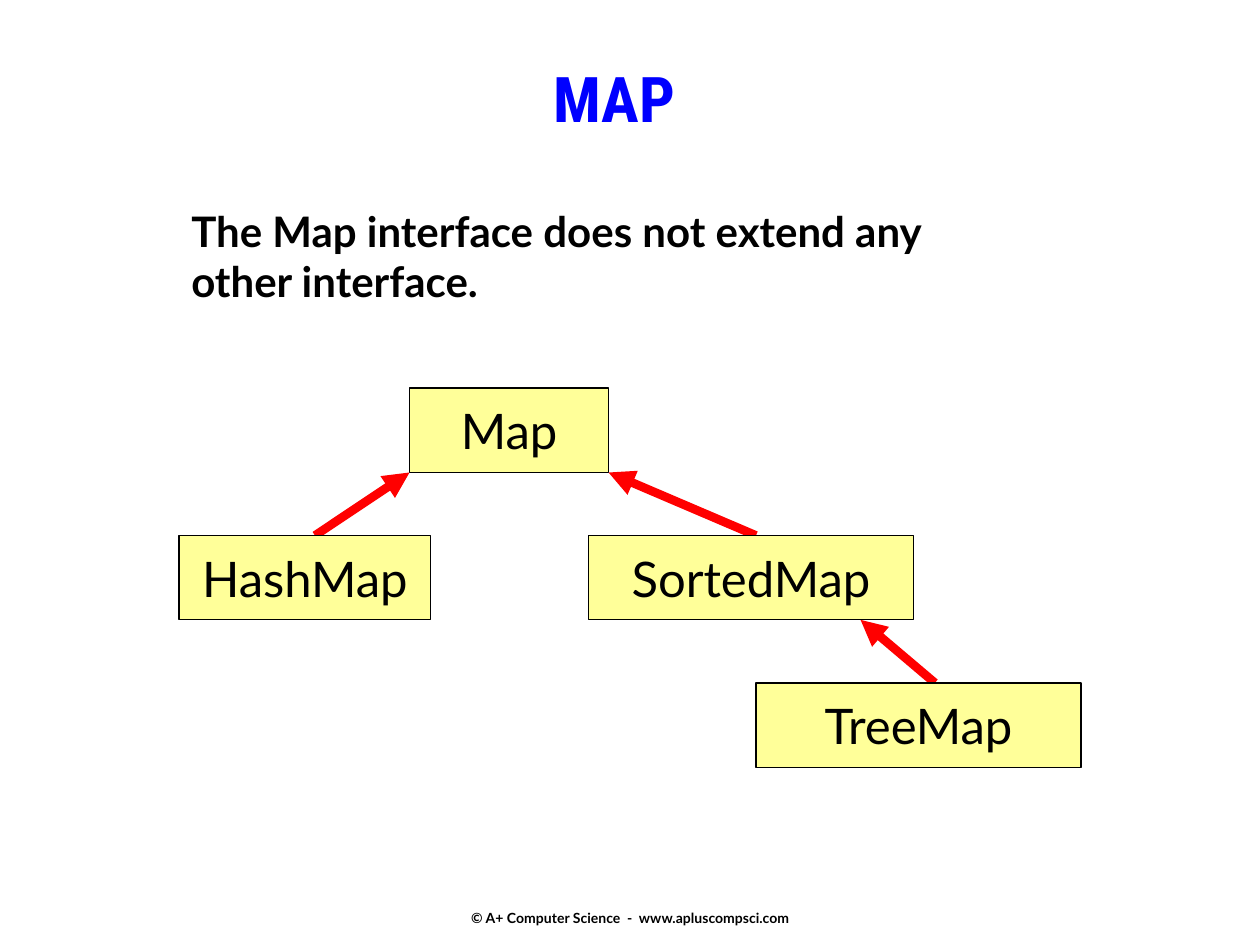
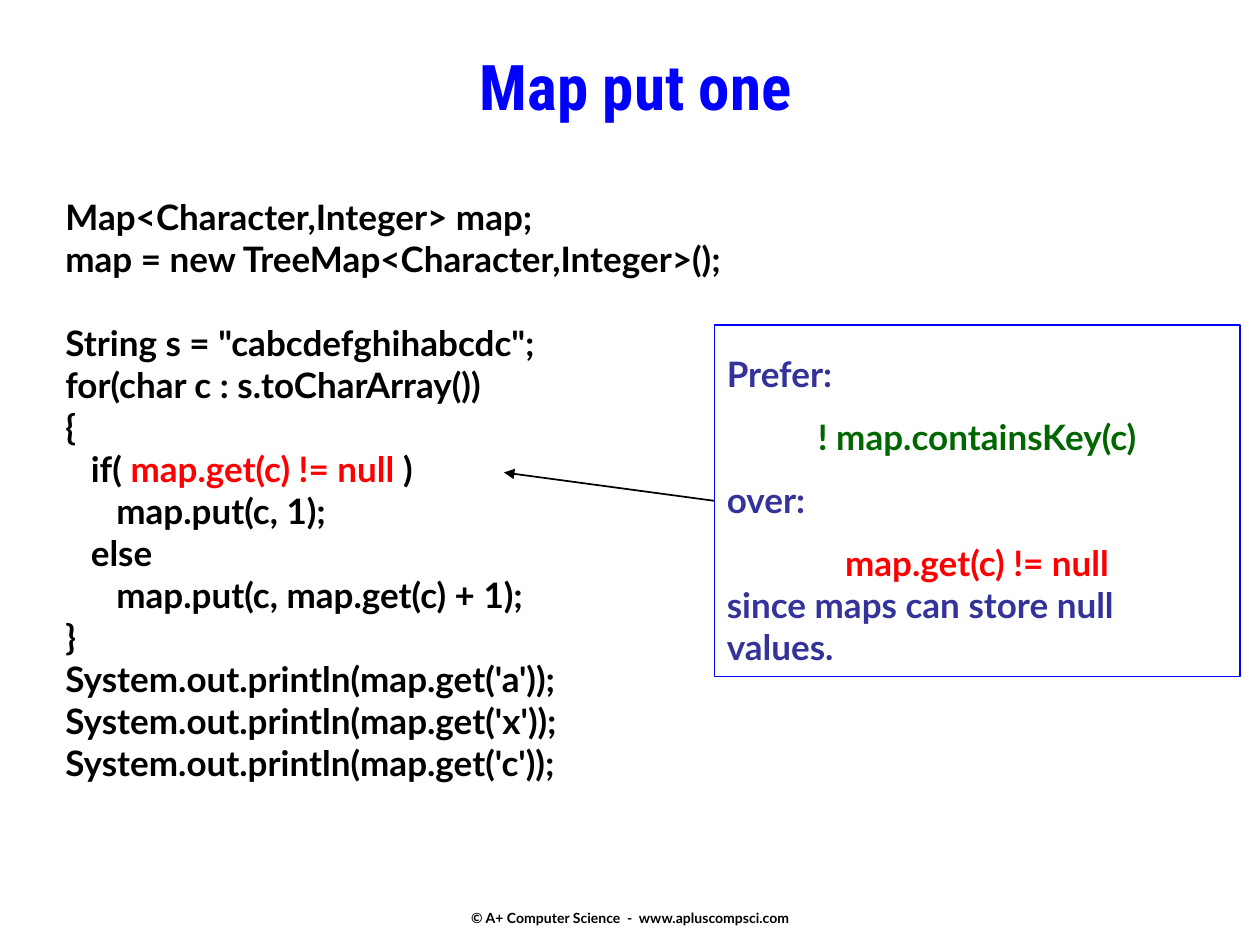
from dataclasses import dataclass

from lxml import etree
from pptx import Presentation
from pptx import util as u
from pptx.dml.color import RGBColor
from pptx.enum import shapes, text
from pptx.oxml import ns


@dataclass(frozen=True)
class Theme:
    title_font: str = "Roboto Condensed"
    body_font: str = "Lato"
    black: str = "000000"
    blue: str = "0000FF"
    indigo: str = "333399"
    green: str = "006600"
    red: str = "FF0000"
    yellow: str = "FFFF99"
    title_size: int = 36
    node_size: int = 28
    lead_size: int = 24
    code_size: int = 20
    footer_size: int = 8


theme = Theme()
LEFT, CENTER = text.PP_ALIGN.LEFT, text.PP_ALIGN.CENTER


def write(frame, lines, size, align=LEFT, font=theme.body_font, bold=True):
    """Fill a frame; each line is a list of (words, colour) spans."""
    frame.word_wrap = True
    for number, line in enumerate(lines):
        para = frame.paragraphs[0] if number == 0 else frame.add_paragraph()
        para.alignment = align
        for words, colour in line:
            span = para.add_run()
            span.text = words
            span.font.name = font
            span.font.size = u.Pt(size)
            span.font.bold = bold
            span.font.color.rgb = RGBColor.from_string(colour)


def add_arrow(page, start, end, colour, width):
    """Draw a straight line with a triangle at its end."""
    points = [u.Inches(value) for value in (*start, *end)]
    arrow = page.shapes.add_connector(shapes.MSO_CONNECTOR.STRAIGHT, *points)
    arrow.line.color.rgb = RGBColor.from_string(colour)
    arrow.line.width = u.Pt(width)
    head = etree.SubElement(arrow.line._get_or_add_ln(), ns.qn("a:tailEnd"))
    head.set("type", "triangle")
    etree.SubElement(arrow._element.spPr, ns.qn("a:effectLst"))
    return arrow


deck = Presentation()
deck.slide_width, deck.slide_height = u.Inches(10), u.Inches(7.5)

# Titles and footers
titles = [("MAP", (2, 0.42, 5.75, 0.83)), ("Map put one", (0.67, 0.33, 8.75, 0.92))]
pages = []
for title, place in titles:
    page = deck.slides.add_slide(deck.slide_layouts[6])
    pages.append(page)
    box = page.shapes.add_textbox(*map(u.Inches, place))
    write(box.text_frame, [[(title, theme.blue)]], theme.title_size, CENTER, theme.title_font)
    footer = page.shapes.add_textbox(*map(u.Inches, (3.42, 7.15, 3.17, 0.27)))
    footer.text_frame.vertical_anchor = text.MSO_ANCHOR.MIDDLE
    notice = "© A+ Computer Science  -  www.apluscompsci.com"
    write(footer.text_frame, [[(notice, theme.black)]], theme.footer_size, CENTER)
map_page, put_page = pages

# Slide 1: lead sentence
lead = map_page.shapes.add_textbox(*map(u.Inches, (1.42, 1.58, 6.92, 0.9)))
sentence = ["The Map interface does not extend any", "other interface."]
write(lead.text_frame, [[(line, theme.black)] for line in sentence], theme.lead_size)

# Slide 1: type hierarchy, arrows beneath the boxes
row_top, row_step, node_height = 3.08, 1.17, 0.67
arrows = [((2.5, 4.25), (3.25, 3.75)), ((6, 4.25), (4.83, 3.75)), ((7.42, 5.42), (6.83, 4.92))]
for start, end in arrows:
    add_arrow(map_page, start, end, theme.red, 5)

nodes = [("Map", 0, 3.25, 1.58), ("HashMap", 1, 1.42, 2),
         ("SortedMap", 1, 4.67, 2.58), ("TreeMap", 2, 6, 2.58)]
for name, row, left, width in nodes:
    place = (left, row_top + row * row_step, width, node_height)
    node = map_page.shapes.add_shape(shapes.MSO_SHAPE.RECTANGLE, *map(u.Inches, place))
    node.shadow.inherit = False
    node.fill.solid()
    node.fill.fore_color.rgb = RGBColor.from_string(theme.yellow)
    node.line.color.rgb = RGBColor.from_string(theme.black)
    node.line.width = u.Pt(0.75)
    node.text_frame.vertical_anchor = text.MSO_ANCHOR.MIDDLE
    write(node.text_frame, [[(name, theme.black)]], theme.node_size, CENTER, bold=False)

# Slide 2: code, with the tested condition in red
declaration = ["Map<Character,Integer> map;", "map = new TreeMap<Character,Integer>();"]
loop_start = ['String s = "cabcdefghihabcdc";', "for(char c : s.toCharArray())", "{"]
condition = [("   if( ", theme.black), ("map.get(c) != null ", theme.red), (")", theme.black)]
loop_end = ["      map.put(c, 1);", "   else", "      map.put(c, map.get(c) + 1);", "}"]
prints = [f"System.out.println(map.get('{key}'));" for key in "axc"]
code_lines = [[(line, theme.black)] for line in declaration + loop_start]
code_lines.append(condition)
code_lines += [[(line, theme.black)] for line in loop_end + prints]

code = put_page.shapes.add_textbox(*map(u.Inches, (0.42, 1.5, 7.08, 4.81)))
write(code.text_frame, code_lines, theme.code_size)
code.text_frame.paragraphs[len(declaration)].space_before = u.Pt(24)

# Slide 2: advice box
advice = [("Prefer:", theme.indigo, LEFT, 1.5),
          ("! map.containsKey(c)", theme.green, CENTER, 1.5),
          ("over:", theme.indigo, LEFT, 1.5),
          ("map.get(c) != null", theme.red, CENTER, 1.5),
          ("since maps can store null values.", theme.indigo, LEFT, 1)]
callout = put_page.shapes.add_shape(
    shapes.MSO_SHAPE.RECTANGLE, *map(u.Inches, (5.67, 2.58, 4.17, 2.79)))
callout.shadow.inherit = False
callout.fill.background()
callout.line.color.rgb = RGBColor.from_string(theme.blue)
callout.line.width = u.Pt(1)
callout.text_frame.vertical_anchor = text.MSO_ANCHOR.TOP
write(callout.text_frame, [[(words, colour)] for words, colour, _, _ in advice], theme.code_size)
for para, (_, _, align, spacing) in zip(callout.text_frame.paragraphs, advice):
    para.alignment = align
    para.line_spacing = spacing

# Slide 2: pointer from the advice to the condition
pointer = add_arrow(put_page, (5.67, 3.98), (4, 3.75), theme.black, 1)
pointer.begin_connect(callout, 1)

deck.save("out.pptx")
